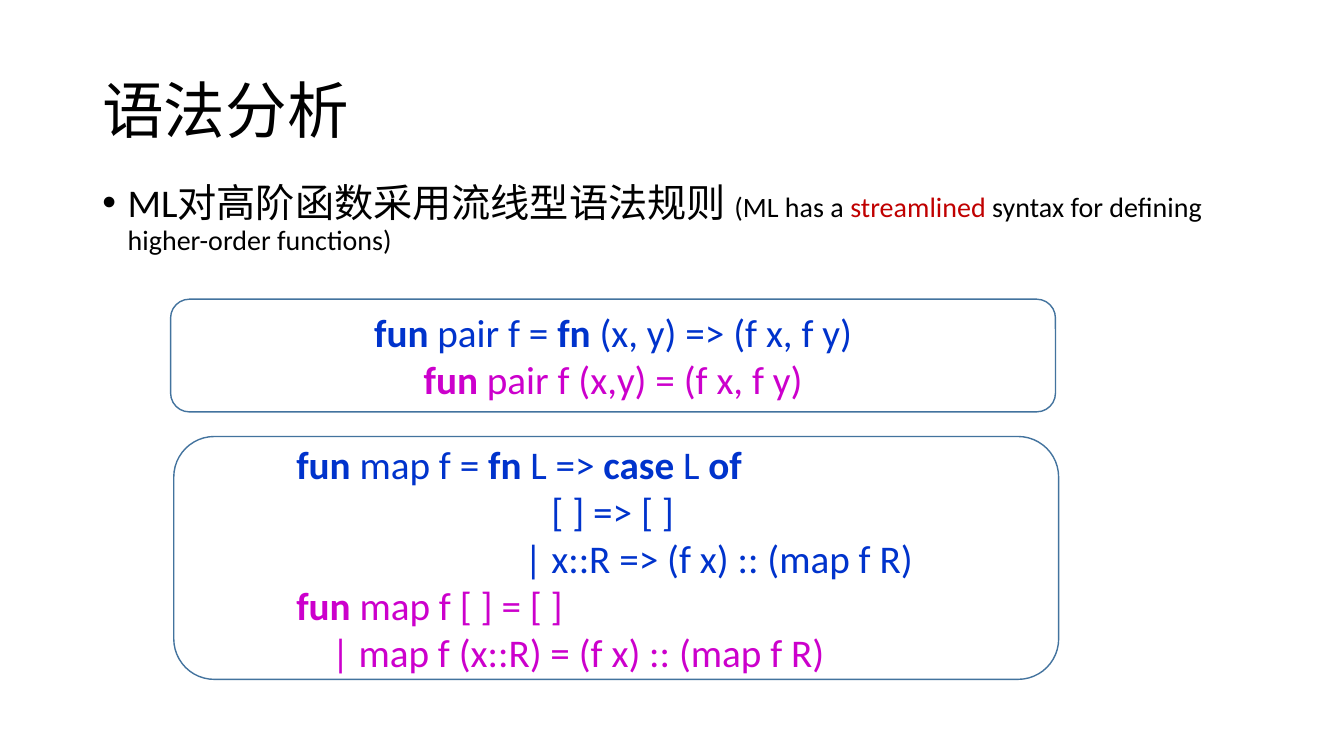
from lxml import etree
from pptx import Presentation
from pptx.dml.color import RGBColor
from pptx.enum.shapes import MSO_SHAPE
from pptx.enum.text import MSO_ANCHOR, PP_ALIGN
from pptx.oxml.ns import qn
from pptx.util import Cm, Pt

ROUNDED = MSO_SHAPE.ROUNDED_RECTANGLE
TOP, MIDDLE = MSO_ANCHOR.TOP, MSO_ANCHOR.MIDDLE
LEFT, CENTER = PP_ALIGN.LEFT, PP_ALIGN.CENTER

BLACK = RGBColor(0x00, 0x00, 0x00)
RED = RGBColor(0xC0, 0x00, 0x00)
BLUE = RGBColor(0x00, 0x33, 0xCC)
MAGENTA = RGBColor(0xCC, 0x00, 0xCC)
OUTLINE = RGBColor(0x43, 0x73, 0x9E)


class SlideWriter:
    font = "Calibri"
    code_size = 28

    def __init__(self, page):
        self.page = page

    def add_span(self, para, text, size, color=BLACK, bold=False):
        span = para.add_run()
        span.text = text
        span.font.name = self.font
        span.font.size = Pt(size)
        span.font.bold = bold
        span.font.color.rgb = color

    def text_box(self, left, top, width, height, spans, anchor=TOP):
        box = self.page.shapes.add_textbox(Cm(left), Cm(top), Cm(width), Cm(height))
        frame = box.text_frame
        frame.word_wrap = True
        frame.vertical_anchor = anchor
        para = frame.paragraphs[0]
        para.line_spacing = 0.9
        for span in spans:
            self.add_span(para, *span)
        return para

    def bullet(self, para, hang):
        properties = para._p.get_or_add_pPr()
        properties.set("marL", str(Cm(hang)))
        properties.set("indent", str(-Cm(hang)))
        etree.SubElement(properties, qn("a:buFont")).set("typeface", "Arial")
        etree.SubElement(properties, qn("a:buChar")).set("char", "•")

    def code_box(self, left, top, width, height, lines, align=LEFT):
        box = self.page.shapes.add_shape(ROUNDED, Cm(left), Cm(top), Cm(width), Cm(height))
        box.shadow.inherit = False
        box.fill.background()
        box.line.color.rgb = OUTLINE
        box.line.width = Pt(1)
        frame = box.text_frame
        frame.word_wrap = True
        frame.vertical_anchor = MIDDLE
        for number, (indent, color, parts) in enumerate(lines):
            para = frame.add_paragraph() if number else frame.paragraphs[0]
            para.alignment = align
            para._p.get_or_add_pPr().set("marL", str(Cm(indent)))
            for text, bold in parts:
                self.add_span(para, text, self.code_size, color, bold)


def main():
    deck = Presentation()
    deck.slide_width, deck.slide_height = Cm(33.87), Cm(19.05)
    writer = SlideWriter(deck.slides.add_slide(deck.slide_layouts[6]))

    writer.text_box(2.33, 1.01, 29.21, 3.68, [("语法分析", 44)], MIDDLE)
    rule = writer.text_box(2.33, 4.5, 29.21, 2.44, [
        ("ML对高阶函数采用流线型语法规则 ", 28),
        ("(ML has a ", 20),
        ("streamlined", 20, RED),
        (" syntax for defining higher-order functions)", 20),
    ])
    rule.space_before = Pt(10)
    writer.bullet(rule, 0.64)

    writer.code_box(4.3, 7.54, 22.3, 2.84, [
        (0, BLUE, [("fun", True), (" pair f = ", False), ("fn", True),
                   (" (x, y) => (f x, f y)", False)]),
        (0, MAGENTA, [("fun", True), (" pair f (x,y) = (f x, f y)", False)]),
    ], CENTER)
    writer.code_box(4.38, 11, 22.3, 6.12, [
        (2.54, BLUE, [("fun", True), (" map f = ", False), ("fn", True),
                      (" L => ", False), ("case", True), (" L ", False), ("of", True)]),
        (8.97, BLUE, [("[ ] => [ ]", False)]),
        (8.29, BLUE, [("| x::R => (f x) :: (map f R)", False)]),
        (2.54, MAGENTA, [("fun ", True), ("map f [ ] = [ ]", False)]),
        (3.43, MAGENTA, [("| map f (x::R) = (f x) :: (map f R)", False)]),
    ])
    deck.save("out.pptx")


if __name__ == "__main__":
    main()
